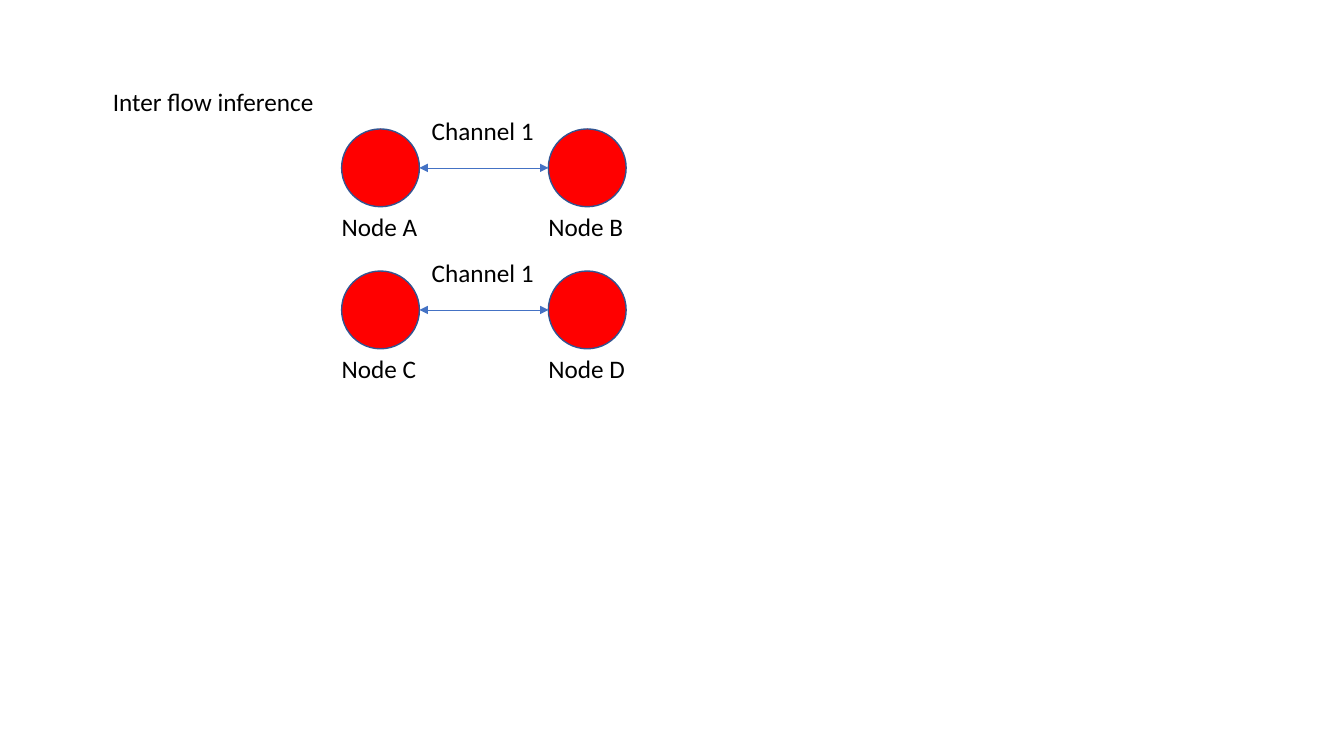
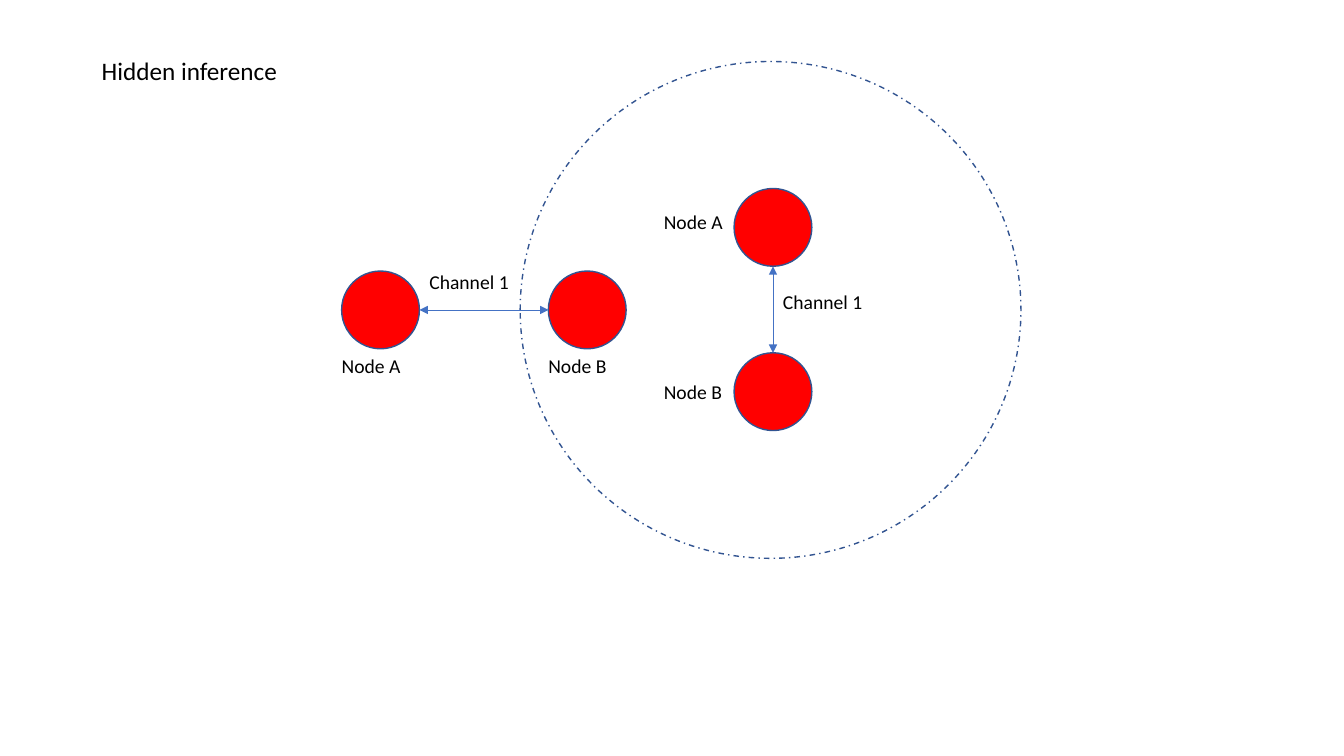
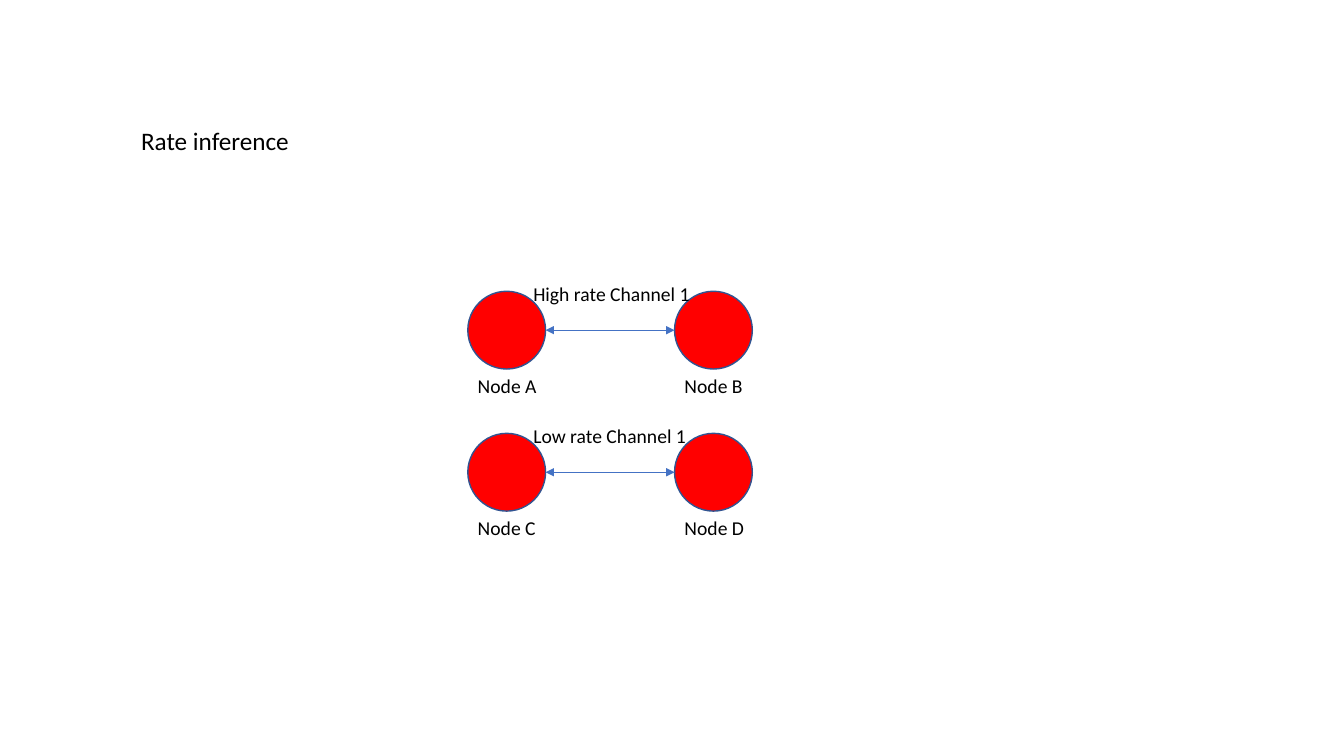
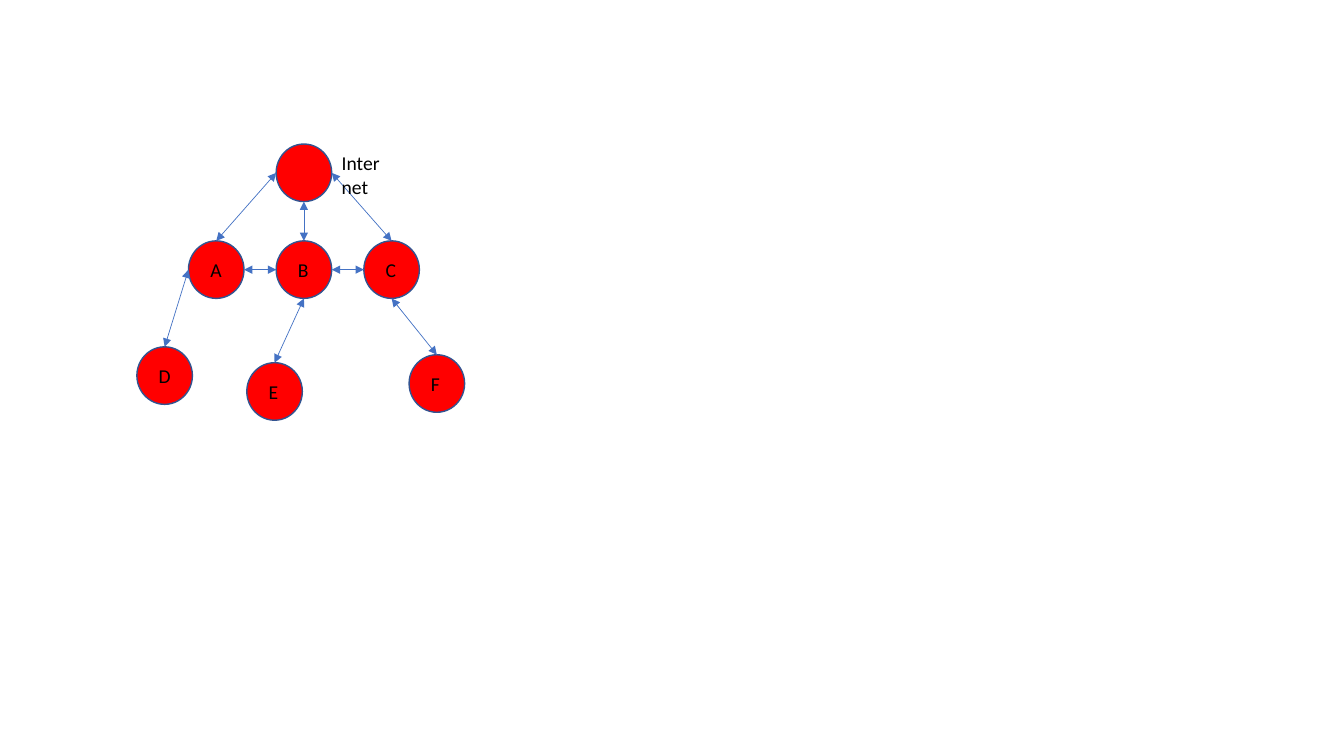
from pptx import Presentation
from pptx import util as u
from pptx.dml.color import RGBColor
from pptx.enum import dml, shapes, text
from pptx.oxml.ns import qn
from lxml import etree

# Shared style
RED, EDGE, ARROW, BLACK = "FF0000", "325491", "4472C4", "000000"
FONT = "Calibri"
TITLE_ONLY, BLANK = 5, 6
SIDES = {"top": (0.5, 0), "left": (0, 0.5), "bottom": (0.5, 1), "right": (1, 0.5)}

# Shared sizes in cm
NODE = 1.96
PAIR_STEP = 5.21
ROW_STEP = 3.58
LINE_HEIGHT = {18: 1.02, 14: 0.86}
NAME_WIDTH = {18: 2.44, 14: 2.0}


def color(hex_string):
    return RGBColor.from_string(hex_string)


def place(shape, left, top, width, height):
    shape.left, shape.top = u.Cm(left), u.Cm(top)
    shape.width, shape.height = u.Cm(width), u.Cm(height)


def write(shape, words, size, wrap=False):
    frame = shape.text_frame
    frame.word_wrap = wrap
    frame.auto_size = text.MSO_AUTO_SIZE.NONE
    frame.vertical_anchor = text.MSO_ANCHOR.TOP
    frame.text = words
    para = frame.paragraphs[0]
    para.alignment = text.PP_ALIGN.LEFT
    para.font.name, para.font.size = FONT, u.Pt(size)
    para.font.color.rgb = color(BLACK)


def add_label(page, words, left, top, width, height, size, wrap=False):
    box = page.shapes.add_textbox(u.Cm(left), u.Cm(top), u.Cm(width), u.Cm(height))
    write(box, words, size, wrap)


def add_circle(page, left, top, width, height, fill=RED):
    circle = page.shapes.add_shape(shapes.MSO_SHAPE.OVAL, 0, 0, 0, 0)
    place(circle, left, top, width, height)
    circle.shadow.inherit = False
    if fill:
        circle.fill.solid()
        circle.fill.fore_color.rgb = color(fill)
    else:
        circle.fill.background()
    circle.line.color.rgb = color(EDGE)
    circle.line.width = u.Pt(1)
    return circle


def edge_point(node, side):
    across, down = SIDES[side]
    return int(node.left + node.width * across), int(node.top + node.height * down)


def link(page, start, start_side, end, end_side):
    """Double-headed arrow between the edges of two nodes."""
    arrow = page.shapes.add_connector(
        shapes.MSO_CONNECTOR.STRAIGHT,
        *edge_point(start, start_side), *edge_point(end, end_side))
    arrow.line.color.rgb = color(ARROW)
    arrow.line.width = u.Pt(0.5)
    properties = arrow.element.spPr
    outline = properties.find(qn("a:ln"))
    for tag in ("a:headEnd", "a:tailEnd"):
        etree.SubElement(outline, qn(tag), type="triangle")
    etree.SubElement(properties, qn("a:effectLst"))


def add_titled_page(deck, title, left, top, width):
    page = deck.slides.add_slide(deck.slide_layouts[TITLE_ONLY])
    place(page.shapes.title, left, top, width, LINE_HEIGHT[18])
    write(page.shapes.title, title, 18)
    return page


def draw_pair(page, left, top, names, channel, channel_box, name_shift, size):
    """Two nodes side by side; channel_box is shift right, shift down, width."""
    nodes = []
    for column, name in enumerate(names):
        x = left + column * PAIR_STEP
        nodes.append(add_circle(page, x, top, NODE, NODE))
        add_label(page, name, x + name_shift, top + NODE,
                  NAME_WIDTH[size], LINE_HEIGHT[size], size)
    link(page, nodes[0], "right", nodes[1], "left")
    right, down, width = channel_box
    add_label(page, channel, left + right, top + down, width, LINE_HEIGHT[size], size)


def draw_rows(page, left, top, channels, **style):
    """Pair A-B above pair C-D."""
    rows = [("Node A", "Node B"), ("Node C", "Node D")]
    for row, (names, channel) in enumerate(zip(rows, channels)):
        draw_pair(page, left, top + row * ROW_STEP, names, channel, **style)


def draw_column(page, left, top):
    """Two nodes one above the other, names on the left."""
    nodes = []
    for row, (name, name_drop) in enumerate([("Node A", 0.41), ("Node B", 0.56)]):
        y = top + row * 4.14
        nodes.append(add_circle(page, left, y, NODE, NODE))
        add_label(page, name, left - 2.02, y + name_drop,
                  NAME_WIDTH[14], LINE_HEIGHT[14], 14)
    link(page, nodes[1], "top", nodes[0], "bottom")
    add_label(page, "Channel 1", left + NODE / 2, top + 2.44, 2.54, LINE_HEIGHT[14], 14)


def draw_mesh(page, left, top):
    """Internet gateway, relays A to C and leaves D to F."""
    width, height = 1.4, 1.45
    places = {
        "Internet": (3.51, 0),
        "A": (1.3, 2.44), "B": (3.51, 2.44), "C": (5.72, 2.44),
        "D": (0, 5.11), "E": (2.77, 5.51), "F": (6.86, 5.31),
    }
    links = [
        ("Internet", "right", "C", "top"), ("Internet", "bottom", "B", "top"),
        ("A", "top", "Internet", "left"), ("C", "bottom", "F", "top"),
        ("E", "top", "B", "bottom"), ("D", "top", "A", "left"),
        ("A", "right", "B", "left"), ("C", "left", "B", "right"),
    ]
    nodes = {name: add_circle(page, left + x, top + y, width, height)
             for name, (x, y) in places.items()}
    for start, start_side, end, end_side in links:
        link(page, nodes[start], start_side, nodes[end], end_side)
    for name, (x, y) in places.items():
        if name == "Internet":
            box = (left + x + width, top + y + 0.05, 1.55, 0.64)
        else:
            box = (left + x + 0.3, top + y + 0.3, 0.58, 0.64)
        add_label(page, name, *box, 14, wrap=True)


deck = Presentation()
deck.slide_width, deck.slide_height = u.Cm(33.87), u.Cm(19.05)

# Inter flow inference
page = add_titled_page(deck, "Inter flow inference", 2.59, 2.06, 5.64)
draw_rows(page, 8.61, 3.25, ["Channel 1", "Channel 1"],
          channel_box=(2.02, -0.48, 3.12), name_shift=-0.25, size=18)

# Hidden inference
page = add_titled_page(deck, "Hidden inference", 2.31, 1.27, 4.98)
signal_range = add_circle(page, 13.11, 1.55, 12.62, 12.52, fill=None)
signal_range.line.dash_style = dml.MSO_LINE.DASH_DOT
draw_pair(page, 8.61, 6.83, ("Node A", "Node B"), "Channel 1",
          channel_box=(1.96, -0.15, 2.54), name_shift=-0.25, size=14)
draw_column(page, 18.5, 4.75)

# Rate inference
page = add_titled_page(deck, "Rate inference", 3.3, 3.02, 4.29)
draw_rows(page, 11.79, 7.34, ["High rate Channel 1", "Low rate Channel 1"],
          channel_box=(1.4, -0.36, 4.45), name_shift=0, size=14)

# Mesh network
page = deck.slides.add_slide(deck.slide_layouts[BLANK])
draw_mesh(page, 3.45, 3.63)

deck.save("out.pptx")
